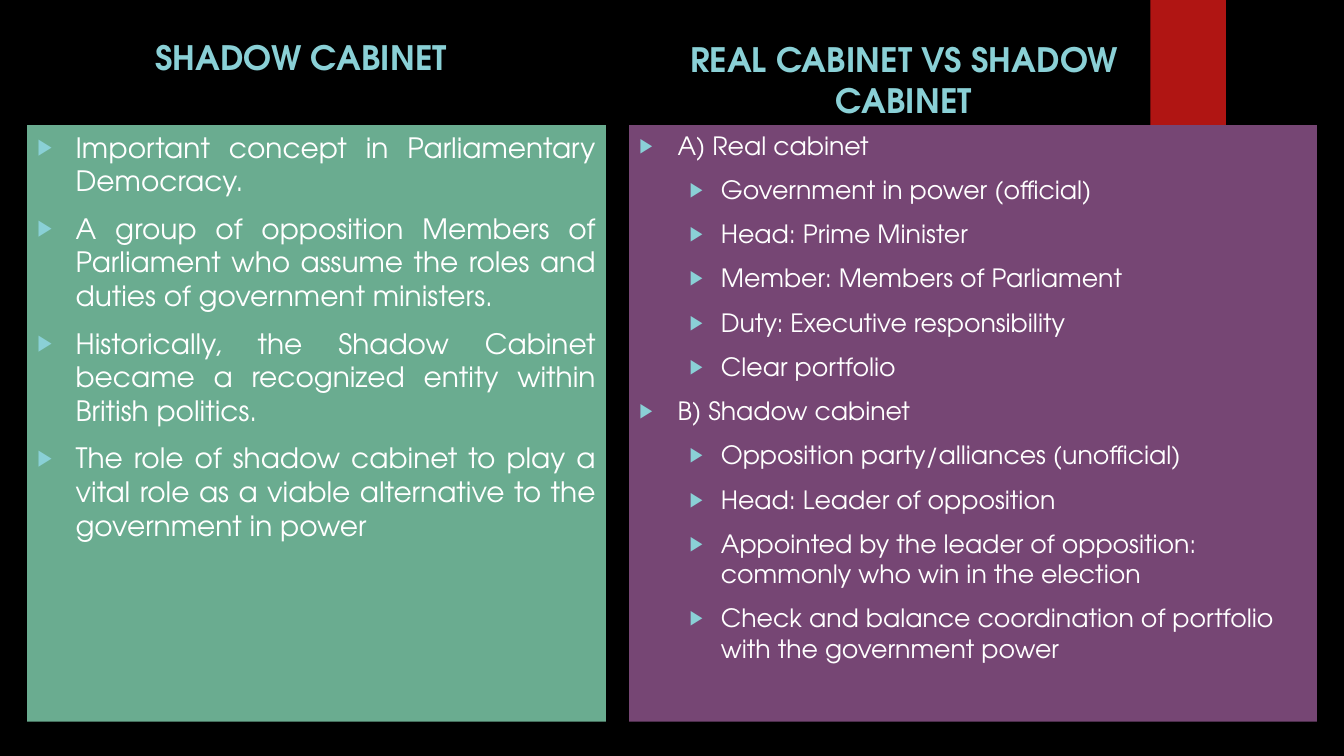
"""Build the slide comparing the real cabinet with the shadow cabinet."""
import pptx
import pptx.dml.color
import pptx.enum.shapes
import pptx.enum.text
import pptx.oxml
import pptx.oxml.ns
import pptx.util

Inches = pptx.util.Inches
Pt = pptx.util.Pt
ALIGN = pptx.enum.text.PP_ALIGN
ANCHOR = pptx.enum.text.MSO_ANCHOR

FONT = "TeX Gyre Adventor"
COLORS = {
    "background": "000000",
    "accent": "8AD0D6",
    "bar": "B01513",
    "green": "6AAC90",
    "purple": "764674",
    "text": "FFFFFF",
}
BAR = (11.41, 0, 0.75, 1.25)
LEVELS = [(0.38, 0.38), (0.81, 0.31)]
HEADINGS = [
    {"index": 1, "box": (0.58, 0.19, 4.81, 0.63), "text": "SHADOW CABINET"},
    {"index": 3, "box": (6.56, 0.19, 4.81, 1.05), "text": "REAL CABINET VS SHADOW CABINET"},
]
PANELS = [
    {
        "index": 2, "box": (0.27, 1.24, 5.74, 5.92), "fill": "green",
        "size": 20, "align": ALIGN.JUSTIFY,
        "items": [
            (0, "Important concept in Parliamentary Democracy."),
            (0, "A group of opposition Members of Parliament who assume the roles and "
                "duties of government ministers."),
            (0, "Historically, the Shadow Cabinet became a recognized entity within "
                "British politics."),
            (0, "The role of shadow cabinet to play a vital role as a viable alternative "
                "to the government in power"),
        ],
    },
    {
        "index": 4, "box": (6.24, 1.24, 6.82, 5.92), "fill": "purple",
        "size": 18, "align": ALIGN.LEFT,
        "items": [
            (0, "A) Real cabinet"),
            (1, "Government in power (official)"),
            (1, "Head: Prime Minister"),
            (1, "Member: Members of Parliament"),
            (1, "Duty: Executive responsibility"),
            (1, "Clear portfolio"),
            (0, "B) Shadow cabinet"),
            (1, "Opposition party/alliances (unofficial)"),
            (1, "Head: Leader of opposition"),
            (1, "Appointed by the leader of opposition: commonly who win in the election"),
            (1, "Check and balance coordination of portfolio with the government power"),
        ],
    },
]


def paint(fill, name):
    """Fill with a solid named colour."""
    fill.solid()
    fill.fore_color.rgb = pptx.dml.color.RGBColor.from_string(COLORS[name])


def place(shape, box):
    """Move and size a shape in inches."""
    shape.left, shape.top, shape.width, shape.height = map(Inches, box)


def prepare(shape, box, anchor):
    """Place a placeholder and return its text frame."""
    place(shape, box)
    frame = shape.text_frame
    frame.word_wrap = True
    frame.auto_size = pptx.enum.text.MSO_AUTO_SIZE.NONE
    frame.vertical_anchor = anchor
    return frame


def add_text(paragraph, text, size, color, bold):
    """Add one formatted run."""
    run = paragraph.add_run()
    run.text = text
    run.font.name = FONT
    run.font.size = Pt(size)
    run.font.bold = bold
    paint(run.font.fill, color)


def add_bullet(paragraph, level):
    """Give a paragraph the triangle bullet and indent of its level."""
    margin, hanging = LEVELS[level]
    paragraph.level = level
    properties = paragraph._p.get_or_add_pPr()
    properties.set("marL", str(Inches(margin)))
    properties.set("indent", str(-Inches(hanging)))
    namespace = pptx.oxml.ns.nsdecls("a")
    for element in (
        f'<a:buClr {namespace}><a:srgbClr val="{COLORS["accent"]}"/></a:buClr>',
        f'<a:buSzPct {namespace} val="80000"/>',
        f'<a:buChar {namespace} char="▶"/>',
    ):
        properties.append(pptx.oxml.parse_xml(element))


def main():
    """Create and save the presentation."""
    presentation = pptx.Presentation()
    presentation.slide_width = Inches(13.33)
    presentation.slide_height = Inches(7.5)
    layout = presentation.slide_layouts.get_by_name("Comparison")
    slide = presentation.slides.add_slide(layout)
    paint(slide.background.fill, "background")
    title = slide.shapes.title._element
    bar = slide.shapes.add_shape(
        pptx.enum.shapes.MSO_SHAPE.RECTANGLE, *map(Inches, BAR))
    bar.shadow.inherit = False
    paint(bar.fill, "bar")
    bar.line.fill.background()
    title.addprevious(bar._element)
    title.getparent().remove(title)
    placeholders = {shape.placeholder_format.idx: shape for shape in slide.placeholders}

    for heading in HEADINGS:
        frame = prepare(placeholders[heading["index"]], heading["box"], ANCHOR.BOTTOM)
        paragraph = frame.paragraphs[0]
        paragraph.alignment = ALIGN.CENTER
        paragraph.space_before = Pt(0)
        add_text(paragraph, heading["text"], 24, "accent", True)

    for panel in PANELS:
        shape = placeholders[panel["index"]]
        frame = prepare(shape, panel["box"], ANCHOR.TOP)
        paint(shape.fill, panel["fill"])
        for number, (level, text) in enumerate(panel["items"]):
            paragraph = frame.add_paragraph() if number else frame.paragraphs[0]
            add_bullet(paragraph, level)
            paragraph.alignment = panel["align"]
            paragraph.space_before = Pt(10 if number else 0)
            add_text(paragraph, text, panel["size"], "text", False)

    presentation.save("out.pptx")


if __name__ == "__main__":
    main()
